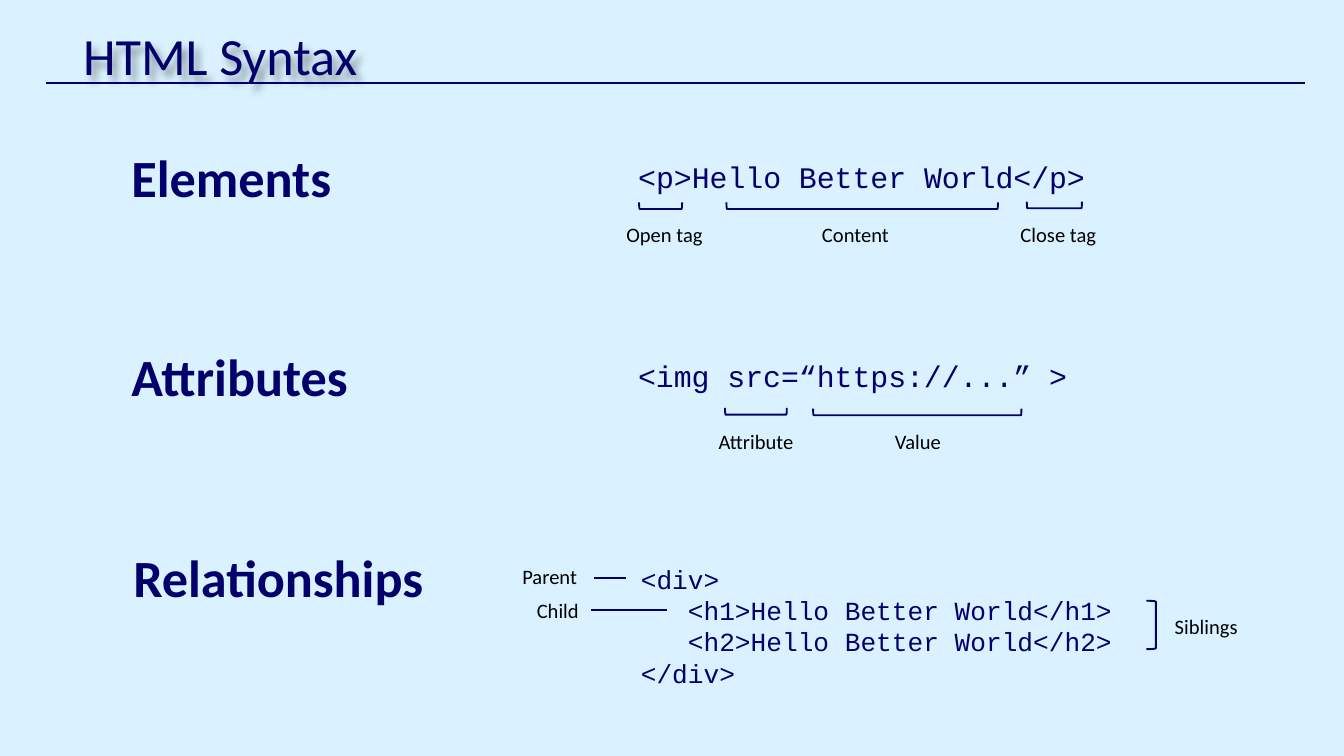
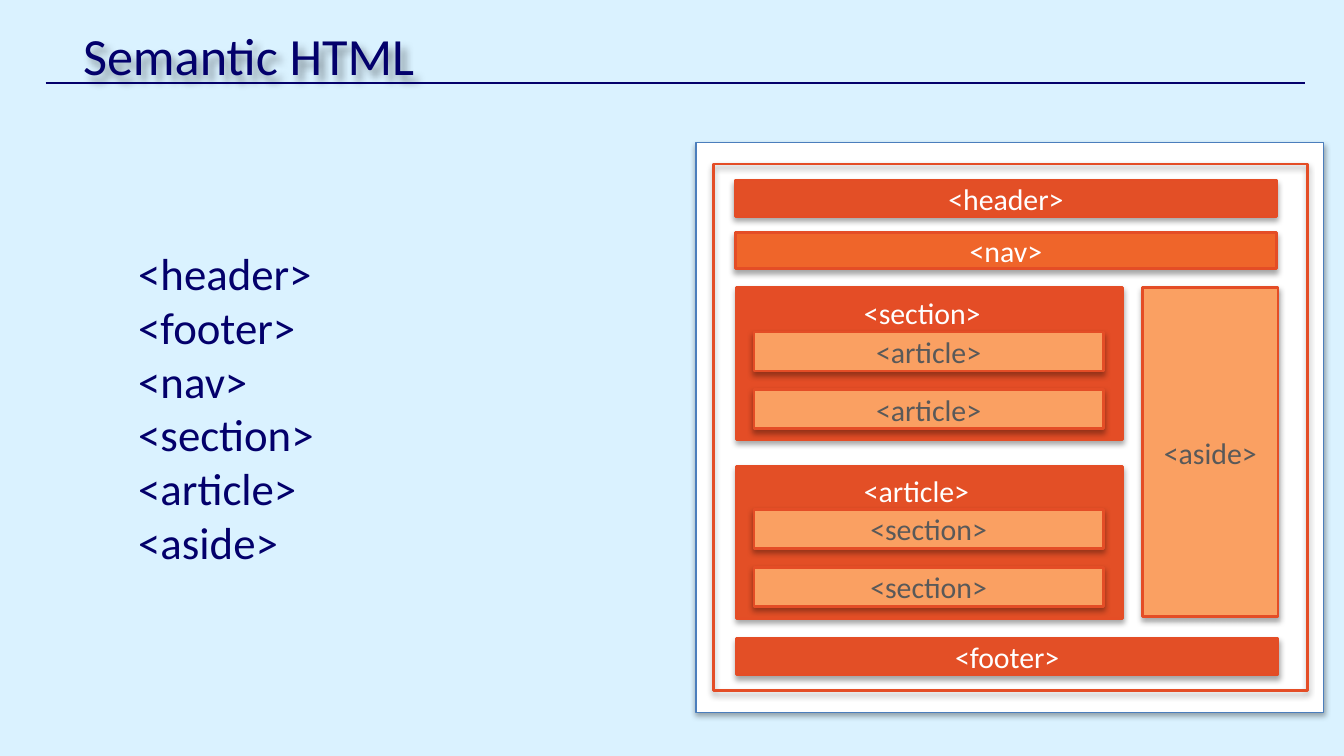
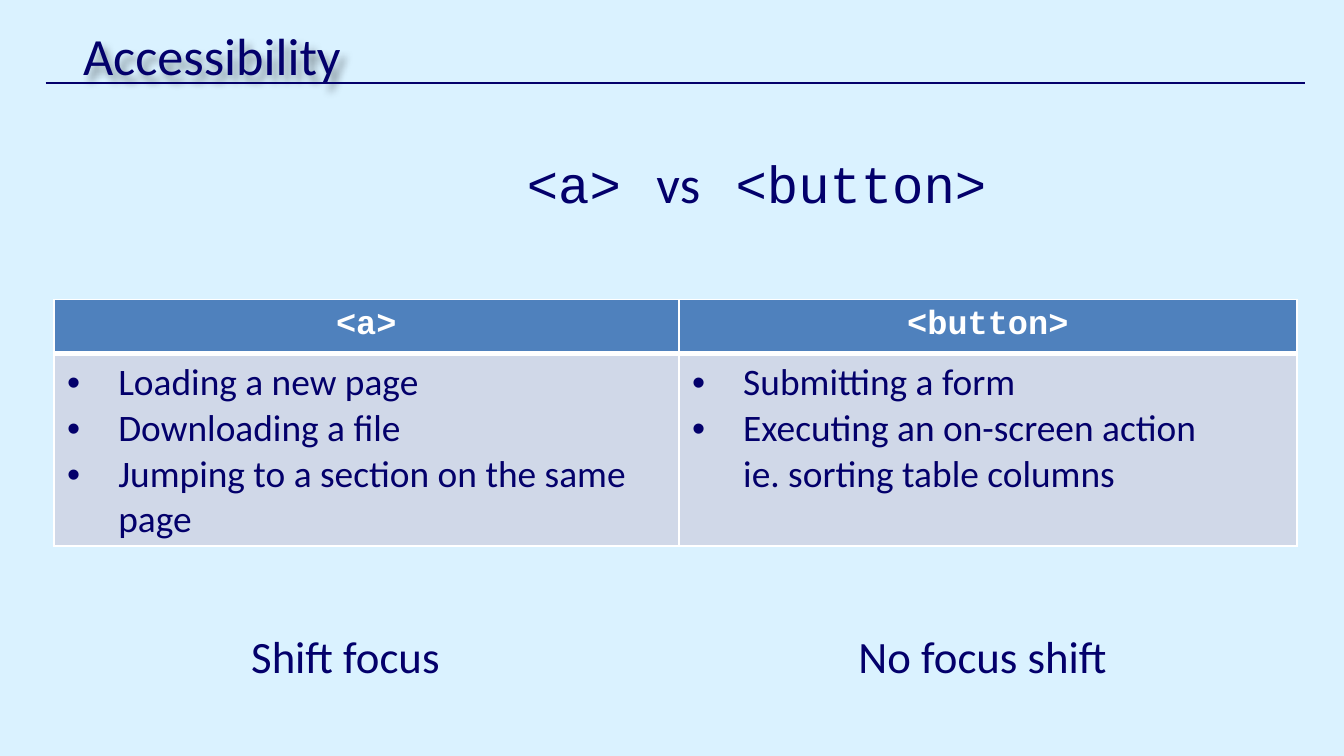
from dataclasses import dataclass
from typing import Optional

from lxml.etree import SubElement
from pptx import Presentation
from pptx.dml.color import RGBColor
from pptx.enum.shapes import MSO_CONNECTOR, MSO_SHAPE
from pptx.enum.text import MSO_ANCHOR, MSO_AUTO_SIZE, PP_ALIGN
from pptx.oxml.ns import qn
from pptx.util import Inches, Pt

COLORS = {
    "sky": "DAF2FF", "navy": "03006B", "black": "000000", "white": "FFFFFF",
    "gray": "595959", "frame": "4B7EBC", "edge": "E44D26", "red": "E34F26",
    "orange": "EF652A", "peach": "FAA062", "head": "4F81BD", "body": "D0D8E8",
}

FORMATS = {
    "title": ({"name": "Calibri", "size": Pt(28), "bold": False}, "navy"),
    "topic": ({"name": "Calibri", "size": Pt(28), "bold": True}, "navy"),
    "code": ({"name": "Courier New", "size": Pt(16), "bold": False}, "navy"),
    "small_code": ({"name": "Courier New", "size": Pt(14), "bold": False}, "navy"),
    "big_code": ({"name": "Courier New", "size": Pt(28), "bold": False}, "navy"),
    "caption": ({"name": "Calibri", "size": Pt(11), "bold": False}, "black"),
    "body": ({"name": "Calibri", "size": Pt(24), "bold": False}, "navy"),
    "light": ({"name": "Calibri", "size": Pt(16), "bold": False}, "white"),
    "dark": ({"name": "Calibri", "size": Pt(16), "bold": False}, "gray"),
    "th": ({"name": "Courier New", "size": Pt(18), "bold": True}, "white"),
    "td": ({"name": "Calibri", "size": Pt(20), "bold": False}, "navy"),
}

LEFT, CENTER = PP_ALIGN.LEFT, PP_ALIGN.CENTER


@dataclass
class Label:
    x: float
    y: float
    w: float
    h: float
    lines: tuple
    style: str
    align: PP_ALIGN = LEFT
    wrap: bool = False
    indent: float = 0


@dataclass
class Bracket:
    x: float
    y: float
    w: float
    h: float
    turn: int = 270


@dataclass
class Line:
    x1: float
    x2: float
    y: float


@dataclass
class Box:
    x: float
    y: float
    w: float
    h: float
    fill: Optional[str]
    text: str = ""
    style: str = "light"
    line: str = "edge"
    weight: float = 1.5


def rgb(name: str) -> RGBColor:
    return RGBColor.from_string(COLORS[name])


def style_run(r, style: str) -> None:
    values, color = FORMATS[style]
    for key, value in values.items():
        setattr(r.font, key, value)
    r.font.color.rgb = rgb(color)


def write(tf, lines, style: str, align=LEFT, indent: float = 0, bullet: str = "") -> None:
    for i, line in enumerate(lines):
        p = tf.paragraphs[0] if i == 0 else tf.add_paragraph()
        p.text = line
        p.alignment = align
        if indent:
            pPr = p._p.get_or_add_pPr()
            pPr.set("marL", str(Inches(indent)))
            if bullet:
                pPr.set("indent", str(-Inches(indent)))
                SubElement(pPr, qn("a:buFont"), typeface="Arial")
                SubElement(pPr, qn("a:buChar"), char=bullet)
        for r in p.runs:
            style_run(r, style)


def add_shadow(sp, blur: float, dist: float, angle: int, alpha: int) -> None:
    sp.shadow.inherit = False
    effects = sp._element.spPr.find(qn("a:effectLst"))
    shadow = SubElement(effects, qn("a:outerShdw"), blurRad=str(Pt(blur)),
                        dist=str(Pt(dist)), dir=str(angle * 60000),
                        algn="tl", rotWithShape="0")
    color = SubElement(shadow, qn("a:srgbClr"), val=COLORS["black"])
    SubElement(color, qn("a:alpha"), val=str(alpha * 1000))


def add_label(s, d: Label):
    sp = s.shapes.add_textbox(Inches(d.x), Inches(d.y), Inches(d.w), Inches(d.h))
    tf = sp.text_frame
    tf.word_wrap = d.wrap
    tf.auto_size = MSO_AUTO_SIZE.SHAPE_TO_FIT_TEXT
    write(tf, d.lines, d.style, d.align, d.indent)
    return sp


def add_line(s, d: Line) -> None:
    sp = s.shapes.add_connector(MSO_CONNECTOR.STRAIGHT, Inches(d.x1), Inches(d.y),
                                Inches(d.x2), Inches(d.y))
    sp.line.color.rgb = rgb("navy")
    sp.line.width = Pt(1)
    SubElement(sp._element.spPr, qn("a:effectLst"))


def add_bracket(s, d: Bracket) -> None:
    sp = s.shapes.add_shape(MSO_SHAPE.LEFT_BRACKET, Inches(d.x), Inches(d.y),
                            Inches(d.w), Inches(d.h))
    sp.rotation = d.turn
    sp.shadow.inherit = False
    sp.fill.background()
    sp.line.color.rgb = rgb("navy")
    sp.line.width = Pt(1)


def add_box(s, d: Box) -> None:
    sp = s.shapes.add_shape(MSO_SHAPE.RECTANGLE, Inches(d.x), Inches(d.y),
                            Inches(d.w), Inches(d.h))
    if d.fill:
        sp.fill.solid()
        sp.fill.fore_color.rgb = rgb(d.fill)
    else:
        sp.fill.background()
    sp.line.color.rgb = rgb(d.line)
    sp.line.width = Pt(d.weight)
    add_shadow(sp, 3.1, 1.8, 90, 35)
    if d.text:
        sp.text_frame.vertical_anchor = MSO_ANCHOR.MIDDLE
        write(sp.text_frame, (d.text,), d.style, CENTER)


DRAW = {Label: add_label, Line: add_line, Bracket: add_bracket, Box: add_box}


def draw(s, items) -> None:
    for item in items:
        DRAW[type(item)](s, item)


def add_slide(prs, title: str):
    s = prs.slides.add_slide(prs.slide_layouts[6])
    s.background.fill.solid()
    s.background.fill.fore_color.rgb = rgb("sky")
    sp = add_label(s, Label(0.52, 0.06, 9, 0.7, (title,), "title", wrap=True))
    sp.text_frame.auto_size = MSO_AUTO_SIZE.NONE
    sp.text_frame.vertical_anchor = MSO_ANCHOR.MIDDLE
    add_shadow(sp, 4, 4, 45, 40)
    add_line(s, Line(0.34, 9.71, 0.62))
    return s


def caption(x: float, y: float, w: float, text: str) -> Label:
    return Label(x, y, w, 0.29, (text,), "caption", CENTER)


def build_syntax(prs) -> None:
    s = add_slide(prs, "HTML Syntax")
    draw(s, (
        Label(0.88, 2.51, 1.84, 0.57, ("Attributes",), "topic"),
        Label(4.65, 2.61, 3.44, 0.37, ("<img src=“https://...” >",), "code"),
        Bracket(5.6, 2.83, 0.05, 0.46),
        caption(5.24, 3.14, 0.77, "Attribute"),
        Bracket(6.8, 2.29, 0.05, 1.55),
        caption(6.55, 3.14, 0.56, "Value"),
        Label(4.65, 1.13, 3.58, 0.37, ("<p>Hello Better World</p>",), "code"),
        Label(0.88, 1.03, 1.7, 0.57, ("Elements",), "topic"),
        Bracket(4.89, 1.37, 0.05, 0.32),
        caption(4.56, 1.6, 0.77, "Open tag"),
        Bracket(7.82, 1.32, 0.05, 0.41),
        caption(7.49, 1.6, 0.77, "Close tag"),
        Bracket(6.39, 0.52, 0.05, 2.02),
        caption(6.01, 1.6, 0.71, "Content"),
        Label(0.88, 4.01, 2.38, 0.57, ("Relationships",), "topic", CENTER),
        Label(4.67, 4.14, 3.73, 1.04, (
            "<div>",
            "   <h1>Hello Better World</h1>",
            "   <h2>Hello Better World</h2>",
            "</div>",
        ), "small_code"),
        caption(3.78, 4.15, 0.62, "Parent"),
        caption(3.89, 4.4, 0.52, "Child"),
        caption(8.64, 4.52, 0.67, "Siblings"),
        Bracket(8.53, 4.47, 0.07, 0.36, 180),
        Line(4.42, 4.66, 4.3),
        Line(4.4, 4.96, 4.54),
    ))


def build_semantic(prs) -> None:
    s = add_slide(prs, "Semantic HTML")
    draw(s, (
        Box(5.18, 1.06, 4.67, 4.24, "white", line="frame", weight=0.75),
        Box(5.31, 1.22, 4.42, 3.92, None),
        Box(5.47, 1.34, 4.03, 0.27, "red", "<header>"),
        Box(5.47, 1.73, 4.03, 0.27, "orange", "<nav>"),
        Box(5.48, 4.75, 4.03, 0.27, "red", "<footer>"),
        Box(8.5, 2.14, 1.01, 2.45, "peach", "<aside>", "dark"),
    ))
    blocks = ((2.14, 2.47, "edge", "<section>", "<article>", 1.09),
              (3.47, 3.79, "red", "<article>", "<section>", 1))
    for top, inner_top, fill, outer, inner, width in blocks:
        draw(s, (
            Box(5.48, top, 2.87, 1.13, fill),
            Box(5.61, inner_top, 2.6, 0.29, "peach", inner, "dark"),
            Box(5.61, inner_top + 0.43, 2.6, 0.29, "peach", inner, "dark"),
            Label(6.33, top, width, 0.37, (outer,), "light"),
        ))
    tags = ("<header>", "<footer>", "<nav>", "<section>", "<article>", "<aside>")
    add_label(s, Label(0.63, 1.78, 4.12, 2.52, tags, "body", wrap=True, indent=0.3))


def set_borders(cell, top: float, bottom: float) -> None:
    tcPr = cell._tc.get_or_add_tcPr()
    for i, (side, width) in enumerate((("L", 1), ("R", 1), ("T", top), ("B", bottom))):
        ln = SubElement(tcPr, qn(f"a:ln{side}"), w=str(Pt(width)))
        fill = SubElement(ln, qn("a:solidFill"))
        SubElement(fill, qn("a:srgbClr"), val=COLORS["white"])
        tcPr.insert(i, ln)


def add_usage_table(s) -> None:
    columns = (
        (4.65, "<a>", ("Loading a new page", "Downloading a file",
                       "Jumping to a section on the same page")),
        (4.6, "<button>", ("Submitting a form",
                           "Executing an on-screen action\vie. sorting table columns")),
    )
    table = s.shapes.add_table(2, 2, Inches(0.4), Inches(2.23),
                               Inches(9.25), Inches(1.83)).table
    table.first_row = table.horz_banding = False
    for row, height in zip(table.rows, (0.39, 1.43)):
        row.height = Inches(height)
    for i, (width, heading, uses) in enumerate(columns):
        table.columns[i].width = Inches(width)
        head, body = table.cell(0, i), table.cell(1, i)
        write(head.text_frame, (heading,), "th", CENTER)
        write(body.text_frame, uses, "td", LEFT, 0.38, "•")
        for cell, fill, top, bottom in ((head, "head", 1, 3), (body, "body", 3, 1)):
            cell.fill.solid()
            cell.fill.fore_color.rgb = rgb(fill)
            set_borders(cell, top, bottom)


def build_accessibility(prs) -> None:
    s = add_slide(prs, "Accessibility")
    sp = add_label(s, Label(1.13, 1.08, 9, 0.57, ("<a>",), "big_code", CENTER, True))
    p = sp.text_frame.paragraphs[0]
    for text, style in ((" ", "title"), ("vs", "title"), (" ", "title"),
                        ("<button>", "big_code")):
        r = p.add_run()
        r.text = text
        style_run(r, style)
        if text == " ":
            r._r.get_or_add_rPr().set("spc", "1270")
    add_usage_table(s)
    for x, text in ((1.03, "Shift focus"), (5.77, "No focus shift")):
        add_label(s, Label(x, 4.63, 3.08, 0.5, (text,), "body", CENTER, True))


def main() -> None:
    prs = Presentation()
    prs.slide_width = Inches(10)
    prs.slide_height = prs.slide_width * 9 // 16
    for build in (build_syntax, build_semantic, build_accessibility):
        build(prs)
    prs.save("out.pptx")


if __name__ == "__main__":
    main()
